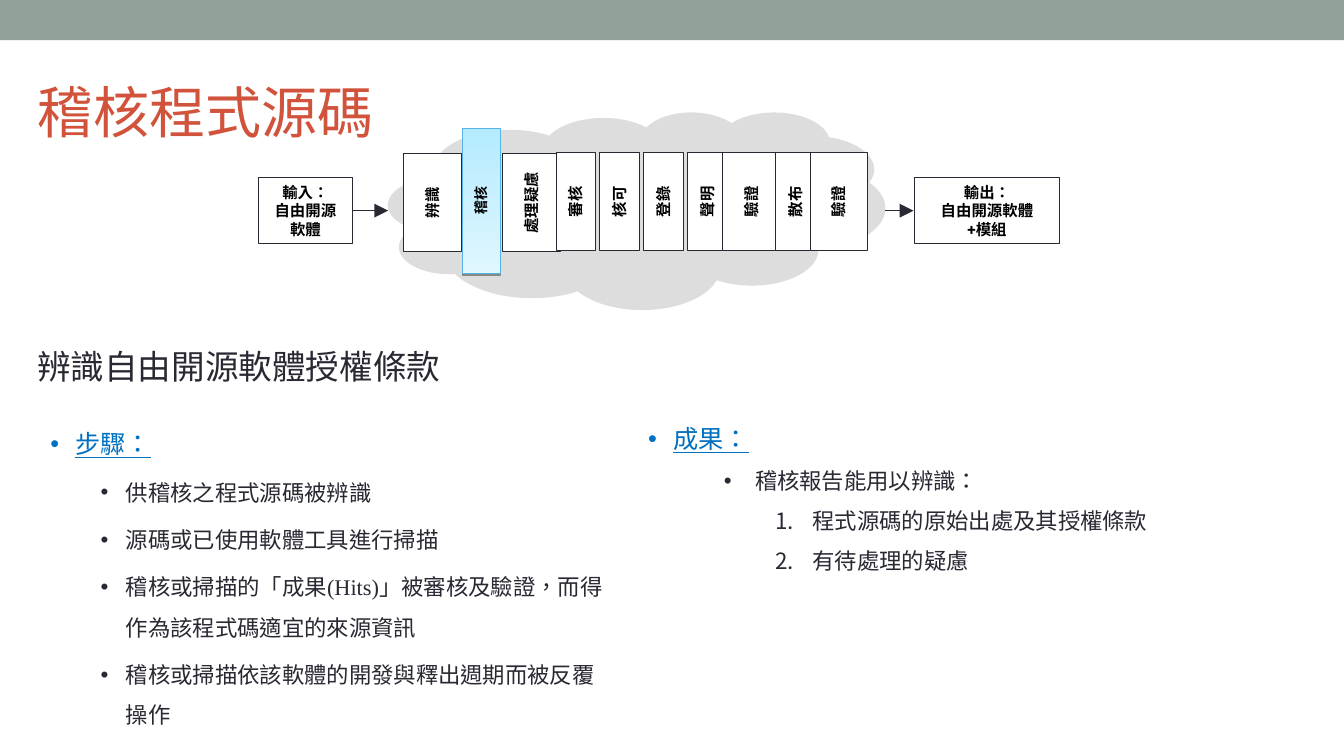
from lxml import etree
from pptx import Presentation
from pptx.dml.color import RGBColor
from pptx.enum import shapes, text
from pptx.oxml.ns import qn
from pptx.util import Inches, Pt

BAND = RGBColor(0x93, 0xA2, 0x99)
CLOUD = RGBColor(0xDD, 0xDD, 0xDD)
INK = RGBColor(0x29, 0x29, 0x34)
BLACK = RGBColor(0, 0, 0)
WHITE = RGBColor(0xFF, 0xFF, 0xFF)
RED = RGBColor(0xD2, 0x53, 0x3C)
BLUE = RGBColor(0x00, 0x70, 0xC0)
AUDIT_TOP = RGBColor(0xB4, 0xEB, 0xFF)
AUDIT_BOTTOM = RGBColor(0xE0, 0xF7, 0xFF)
AUDIT_EDGE = RGBColor(0x55, 0xB4, 0xE5)
SERIF, SANS = "Times New Roman", "Roboto"
SHAPE = shapes.MSO_SHAPE
MIDDLE = text.MSO_ANCHOR.MIDDLE

STAGE_LENGTH, STAGE_GAP, FIRST_EVEN_STAGE = 0.97, 0.435, 5.71
NARROW, WIDE = 0.39, 0.57
EVEN_STAGES = [("審核", NARROW), ("核可", NARROW), ("登錄", NARROW), ("聲明", NARROW),
               ("驗證", WIDE), ("散布", NARROW), ("驗證", WIDE)]
END_BOX_TOP, END_BOX_HEIGHT = 1.76, 0.66

# Each line: wording, left margin, indent, space before, numbered
STEPS = [("步驟：", 0.25, -0.25, 0, False)] + [
    (wording, 0.75, -0.25, 5, False) for wording in (
        "供稽核之程式源碼被辨識",
        "源碼或已使用軟體工具進行掃描",
        "稽核或掃描的「成果(Hits)」被審核及驗證，而得作為該程式碼適宜的來源資訊",
        "稽核或掃描依該軟體的開發與釋出週期而被反覆操作")]
RESULTS = [("成果：", 0.25, -0.25, 0, False),
           ("稽核報告能用以辨識：", 1.06, -0.31, 0, False),
           ("程式源碼的原始出處及其授權條款", 1.63, -0.37, 0, True),
           ("有待處理的疑慮", 1.63, -0.37, 0, True)]


def style_span(span, size, name, color, bold=False):
    """Format a run and mark it as Traditional Chinese."""
    font = span.font
    font.size, font.name, font.bold = Pt(size), name, bold
    font.color.rgb = color
    span._r.get_or_add_rPr().set("lang", "zh-TW")


def add_plain_shape(page, kind, left, top, width, height, fill=WHITE, line=None):
    shape = page.shapes.add_shape(kind, Inches(left), Inches(top), Inches(width), Inches(height))
    shape.shadow.inherit = False
    shape.fill.solid()
    shape.fill.fore_color.rgb = fill
    if line is None:
        shape.line.fill.background()
    else:
        shape.line.color.rgb = line
        shape.line.width = Pt(0.75)
    return shape


def add_text_box(page, left, top, width, height):
    box = page.shapes.add_textbox(Inches(left), Inches(top), Inches(width), Inches(height))
    box.text_frame.word_wrap = True
    return box


def write_label(shape, wording, size=11):
    frame = shape.text_frame
    frame.text = wording
    frame.word_wrap = True
    frame.vertical_anchor = MIDDLE
    frame.margin_top = frame.margin_bottom = Inches(0.03)
    for para in frame.paragraphs:
        para.alignment = text.PP_ALIGN.CENTER
        for span in para.runs:
            style_span(span, size, SANS, BLACK, True)


def add_stage(page, wording, center_x, center_y, breadth):
    """Add a process step whose label reads upwards."""
    stage = add_plain_shape(page, SHAPE.RECTANGLE, center_x - STAGE_LENGTH / 2,
                            center_y - breadth / 2, STAGE_LENGTH, breadth, line=INK)
    stage.rotation = 270
    write_label(stage, wording)


def add_audit_stage(page):
    """Add the highlighted step with its gradient, shadow and label."""
    panel = add_plain_shape(page, SHAPE.RECTANGLE, 4.59, 1.27, 0.37, 1.44, line=AUDIT_EDGE)
    panel.rotation = 180
    panel.fill.gradient()
    panel.fill.gradient_angle = 90
    for stop, color in zip(panel.fill.gradient_stops, (AUDIT_TOP, AUDIT_BOTTOM)):
        stop.color.rgb = color
    effects = panel._element.spPr.find(qn("a:effectLst"))
    shadow = etree.SubElement(effects, qn("a:outerShdw"), blurRad="0", dist=str(Pt(1.6)),
                              dir="5400000", rotWithShape="0")
    color = etree.SubElement(shadow, qn("a:srgbClr"), val="000000")
    etree.SubElement(color, qn("a:alpha"), val="38000")
    label = add_text_box(page, 4.05, 1.8, 1.44, 0.37)
    label.rotation = 270
    write_label(label, "稽核", 10)


def add_arrow(page, start, end, height):
    arrow = page.shapes.add_connector(shapes.MSO_CONNECTOR.STRAIGHT, Inches(start),
                                      Inches(height), Inches(end), Inches(height))
    arrow.line.color.rgb = INK
    arrow.line.width = Pt(0.75)
    etree.SubElement(arrow.line._get_or_add_ln(), qn("a:tailEnd"),
                     type="triangle", w="lg", len="lg")
    etree.SubElement(arrow._element.spPr, qn("a:effectLst"))


def add_bullet(para, color, left, indent, numbered):
    properties = para._p.get_or_add_pPr()
    properties.set("marL", str(Inches(left)))
    properties.set("indent", str(Inches(indent)))
    bullet_color = etree.SubElement(properties, qn("a:buClr"))
    etree.SubElement(bullet_color, qn("a:srgbClr"), val=str(color))
    if numbered:
        etree.SubElement(properties, qn("a:buAutoNum"), type="arabicPeriod")
    else:
        etree.SubElement(properties, qn("a:buFont"), typeface="Arial")
        etree.SubElement(properties, qn("a:buChar"), char="•")


def add_bullet_list(page, left, top, width, height, lines):
    """Add a list whose first line is an underlined blue heading."""
    frame = add_text_box(page, left, top, width, height).text_frame
    frame.text = "\n".join(line[0] for line in lines)
    for index, (para, line) in enumerate(zip(frame.paragraphs, lines)):
        heading = index == 0
        _, margin, indent, before, numbered = line
        color = BLUE if heading else INK
        add_bullet(para, color, margin, indent, numbered)
        para.level = 1 if numbered or before else 0
        para.line_spacing = 1.5
        if before:
            para.space_before = Pt(before)
        for span in para.runs:
            style_span(span, 18 if heading else 16, SERIF, color)
            span.font.underline = heading


def set_title(page):
    title = page.shapes.title
    title.left, title.top, title.width, title.height = map(Inches, (0.27, 0.56, 12, 1.08))
    title.text_frame.text = "稽核程式源碼"
    title.text_frame.vertical_anchor = MIDDLE
    para = title.text_frame.paragraphs[0]
    para.alignment = text.PP_ALIGN.LEFT
    style_span(para.runs[0], 40, SERIF, RED)


def add_process(page):
    cloud = add_plain_shape(page, SHAPE.CLOUD_CALLOUT, 3.85, 1.11, 4.93, 1.96, CLOUD)
    cloud.adjustments[0], cloud.adjustments[1] = -0.25, 0.16
    add_audit_stage(page)
    add_stage(page, "辨識", 4.29, 2.01, WIDE)
    add_stage(page, "處理疑慮", 5.27, 2.01, WIDE)
    for index, (wording, breadth) in enumerate(EVEN_STAGES):
        add_stage(page, wording, FIRST_EVEN_STAGE + index * STAGE_GAP, 2, breadth)
    for left, width, wording in ((2.56, 0.94, "輸入：\n自由開源軟體"),
                                 (9.07, 1.44, "輸出：\n自由開源軟體\n+模組")):
        box = add_plain_shape(page, SHAPE.RECTANGLE, left, END_BOX_TOP, width,
                              END_BOX_HEIGHT, line=INK)
        write_label(box, wording)
    add_arrow(page, 3.5, 3.85, 2.09)
    add_arrow(page, 8.78, 9.06, 2.09)


def main():
    deck = Presentation()
    deck.slide_width, deck.slide_height = Inches(13.33), Inches(7.5)
    page = deck.slides.add_slide(deck.slide_layouts[5])
    add_plain_shape(page, SHAPE.RECTANGLE, 0, 0, 13.33, 0.4, BAND)
    set_title(page)
    add_process(page)
    subtitle = add_text_box(page, 0.27, 3.38, 4.44, 0.5).text_frame
    subtitle.text = "辨識自由開源軟體授權條款"
    style_span(subtitle.paragraphs[0].runs[0], 24, SERIF, INK)
    add_bullet_list(page, 6.33, 4, 6.32, 2.52, RESULTS)
    add_bullet_list(page, 0.4, 4.05, 5.81, 2.86, STEPS)
    deck.save("out.pptx")


if __name__ == "__main__":
    main()
